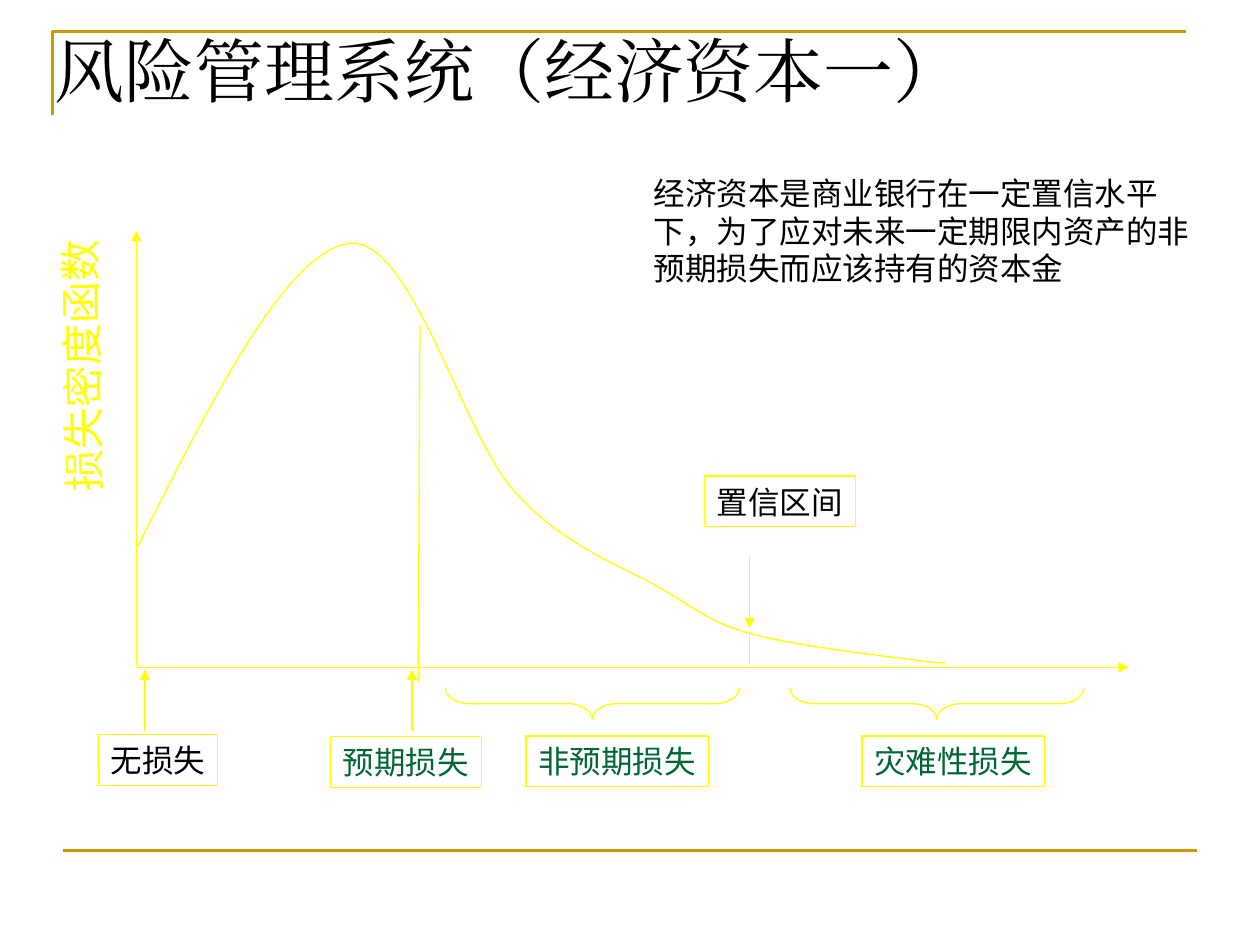
from lxml import etree
from pptx import Presentation
from pptx.dml.color import RGBColor
from pptx.enum import shapes, text
from pptx.oxml.ns import qn
from pptx.util import Pt

GOLD = RGBColor(0xCC, 0x99, 0x00)
YELLOW = RGBColor(0xFF, 0xFF, 0x00)
GREEN = RGBColor(0x00, 0x66, 0x33)
BLACK = RGBColor(0, 0, 0)
CJK = "Noto Sans CJK JP"


def put_text(sp, lines, size=18, font="Arial", color=BLACK, wrap=False,
             anchor=text.MSO_ANCHOR.TOP, align=text.PP_ALIGN.LEFT):
    tf = sp.text_frame
    tf.auto_size = text.MSO_AUTO_SIZE.NONE
    tf.word_wrap = wrap
    tf.vertical_anchor = anchor
    tf.margin_left = tf.margin_right = Pt(7.2)
    tf.margin_top = tf.margin_bottom = Pt(3.6)
    for i, line in enumerate(lines.split("\n")):
        p = tf.add_paragraph() if i else tf.paragraphs[0]
        p.alignment = align
        r = p.add_run()
        r.text = line
        r.font.size, r.font.name = Pt(size), font
        r.font.color.rgb = color
        etree.SubElement(r.font._element, qn("a:ea")).set("typeface", font)


def outline(sp, color=YELLOW, width=0.75):
    sp.shadow.inherit = False
    sp.fill.background()
    sp.line.color.rgb = color
    sp.line.width = Pt(width)


def add_line(s, x1, y1, x2, y2, color=YELLOW, width=0.75, arrow=False):
    c = s.shapes.add_connector(shapes.MSO_CONNECTOR.STRAIGHT,
                               Pt(x1), Pt(y1), Pt(x2), Pt(y2))
    c.line.color.rgb = color
    c.line.width = Pt(width)
    if arrow:
        etree.SubElement(c.line._get_or_add_ln(), qn("a:tailEnd")).set("type", "triangle")
    etree.SubElement(c._element.spPr, qn("a:effectLst"))


def add_path(s, points, color=YELLOW, width=0.75, curved=False):
    (x, y), *rest = points
    fb = s.shapes.build_freeform(Pt(x), Pt(y))
    fb.add_line_segments([(Pt(a), Pt(b)) for a, b in rest], close=False)
    sp = fb.convert_to_shape()
    outline(sp, color, width)
    if curved:  # every three points become one Bezier segment
        steps = list(sp._element.iter(qn("a:lnTo")))
        for i in range(0, len(steps), 3):
            bezier = etree.Element(qn("a:cubicBezTo"))
            steps[i].addprevious(bezier)
            for step in steps[i:i + 3]:
                bezier.append(step[0])
                step.getparent().remove(step)


def add_label(s, x, y, w, label, **fmt):
    sp = s.shapes.add_shape(shapes.MSO_SHAPE.RECTANGLE, Pt(x), Pt(y), Pt(w), Pt(29))
    outline(sp)
    put_text(sp, label, anchor=text.MSO_ANCHOR.MIDDLE, **fmt)


def add_brace(s, center, top, span=168, depth=18):
    sp = s.shapes.add_shape(shapes.MSO_SHAPE.RIGHT_BRACE,
                            Pt(center - depth / 2), Pt(top + depth / 2 - span / 2),
                            Pt(depth), Pt(span))
    sp.rotation = 90
    sp.adjustments[0] = 0.78
    outline(sp)


def add_text(s, x, y, w, h, lines, rotation=0, **fmt):
    sp = s.shapes.add_textbox(Pt(x), Pt(y), Pt(w), Pt(h))
    sp.rotation = rotation
    put_text(sp, lines, **fmt)


def main():
    prs = Presentation()
    prs.slide_width, prs.slide_height = Pt(720), Pt(540)
    s = prs.slides.add_slide(prs.slide_layouts[5])

    # Frame rules and title
    add_path(s, [(30, 66), (30, 18), (678, 18)], GOLD, 1.5)
    add_line(s, 36, 486, 684, 486, GOLD, 1.5)
    title = s.shapes.title
    title.left, title.top, title.width, title.height = Pt(24), Pt(12), Pt(672), Pt(72)
    put_text(title, "风险管理系统（经济资本一）", size=40, font="Times New Roman", wrap=True)

    # Axes
    add_line(s, 77.9, 381.3, 645, 381.3, arrow=True)
    add_line(s, 77.9, 380.5, 77.9, 132, arrow=True)
    add_text(s, -65, 159, 222, 36, "损失密度函数", rotation=268.9, size=24, font=CJK,
             color=YELLOW, wrap=True, anchor=text.MSO_ANCHOR.MIDDLE)

    # Loss density curve
    add_path(s, [(78.9, 312), (121, 228), (163.4, 144.7), (199, 139.2),
                 (234.7, 133.9), (264, 247.7), (294, 280.8),
                 (324, 313.9), (356.4, 323.3), (379, 337),
                 (401.8, 350.6), (406, 355.7), (429.8, 362.2),
                 (453, 369), (502.6, 374.4), (520.6, 376.9),
                 (539.3, 379.4), (539.3, 379), (540, 378)], curved=True)

    # Markers on the curve and arrows to the axis
    add_line(s, 239, 390, 240, 186)
    add_line(s, 428.4, 362, 428.4, 380)
    add_line(s, 428.4, 317, 428.4, 359, arrow=True)
    for x in (82.8, 235.4):
        add_line(s, x, 418, x, 382.6, arrow=True)

    # Braces over the loss ranges
    for center in (338.4, 535.3):
        add_brace(s, center, 393.1)

    # Labels
    center = text.PP_ALIGN.CENTER
    add_label(s, 56.2, 419.8, 68, "无损失", font=CJK)
    add_label(s, 188.8, 421, 86.4, "预期损失", color=GREEN, align=center)
    add_label(s, 300.5, 420.5, 104.4, "非预期损失", color=GREEN, align=center)
    add_label(s, 492.5, 420.5, 104.4, "灾难性损失", color=GREEN)
    add_label(s, 402.5, 272, 86.4, "置信区间", font="Lato", align=center)

    # Definition
    add_text(s, 366.5, 95.8, 320.4, 72,
             "经济资本是商业银行在一定置信水平\n下，为了应对未来一定期限内资产的非\n预期损失而应该持有的资本金")
    prs.save("out.pptx")


if __name__ == "__main__":
    main()
